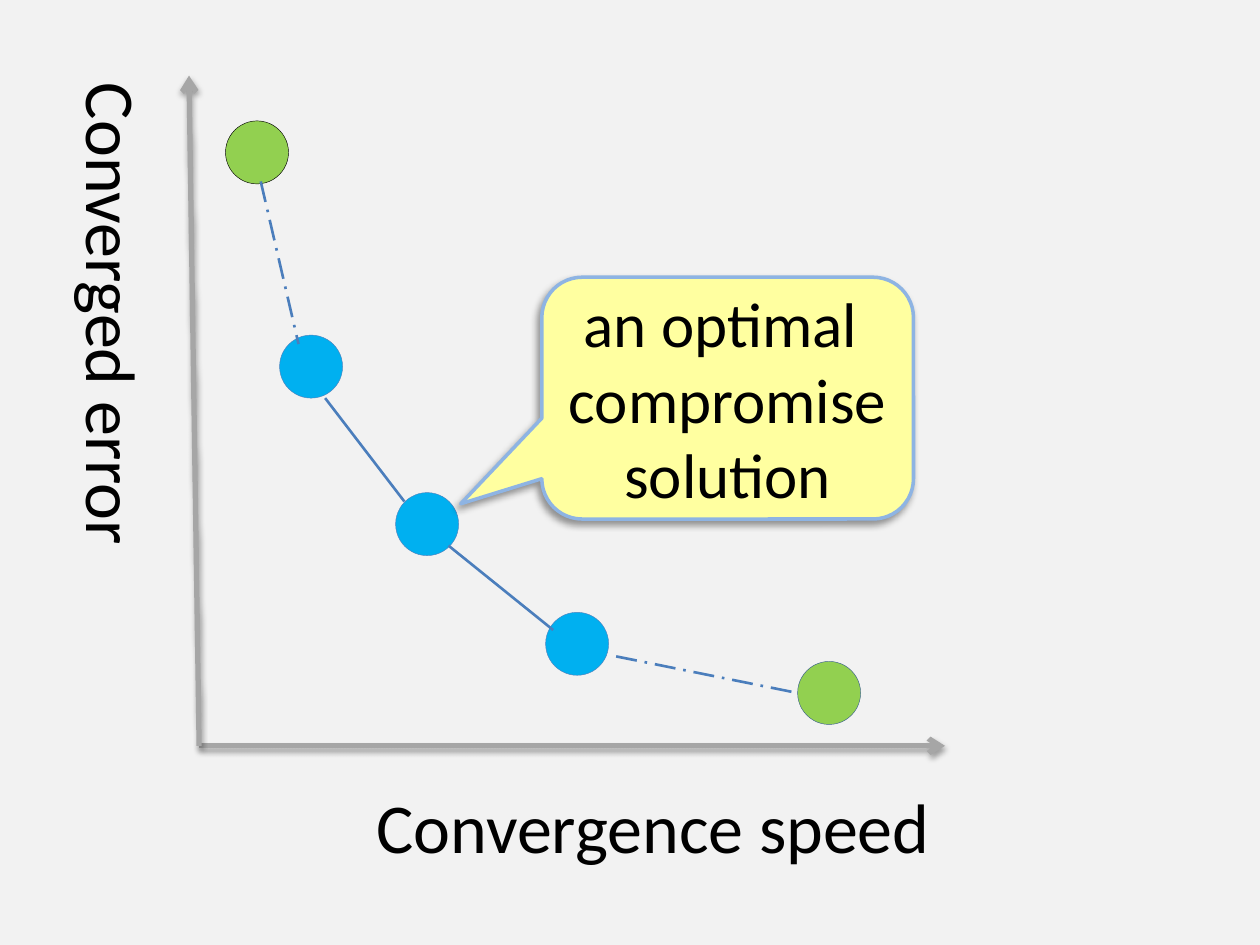
"""Build a slide plotting converged error against convergence speed."""
from lxml import etree
from pptx import Presentation
from pptx.dml.color import RGBColor
from pptx.enum import dml, shapes, text
from pptx.oxml import ns
from pptx.util import Pt

BACKGROUND = RGBColor(0xF2, 0xF2, 0xF2)
BLACK = RGBColor(0, 0, 0)
GREY = RGBColor(0xA6, 0xA6, 0xA6)
GREEN = RGBColor(0x92, 0xD0, 0x50)
DARK_BLUE = RGBColor(0x3A, 0x5F, 0x8C)
CYAN = RGBColor(0x00, 0xB0, 0xF0)
BLUE = RGBColor(0x4F, 0x81, 0xBD)
TREND_BLUE = RGBColor(0x4B, 0x7E, 0xBC)
YELLOW = RGBColor(0xFF, 0xFF, 0xA0)
PALE_BLUE = RGBColor(0x8E, 0xB4, 0xE3)


def write(frame, content, size, align=text.PP_ALIGN.LEFT, wrap=False):
    """Fill a text frame, one paragraph for each line of content."""
    frame.word_wrap = wrap
    frame.text = content
    for para in frame.paragraphs:
        para.alignment = align
        for span in para.runs:
            span.font.name = "Calibri"
            span.font.size = Pt(size)
            span.font.color.rgb = BLACK


def set_effects(shape, shadow=None):
    """Give a shape a black outer shadow, or no effect at all."""
    effects = etree.SubElement(shape._element.spPr, ns.qn("a:effectLst"))
    if shadow:
        opacity, blur, distance, angle = shadow
        outer = etree.SubElement(
            effects, ns.qn("a:outerShdw"), blurRad=str(Pt(blur)),
            dist=str(Pt(distance)), dir=str(angle * 60000), rotWithShape="0")
        color = etree.SubElement(outer, ns.qn("a:srgbClr"), val="000000")
        etree.SubElement(color, ns.qn("a:alpha"), val=str(opacity * 1000))


deck = Presentation()
deck.slide_width, deck.slide_height = Pt(720), Pt(540)
page = deck.slides.add_slide(deck.slide_layouts[6])
page.background.fill.solid()
page.background.fill.fore_color.rgb = BACKGROUND

DIAMETER = Pt(36)
for left, top, fill, outline in [
    (128.9, 69.1, GREEN, BLACK),
    (159.8, 191.5, CYAN, BLUE),
    (455.8, 378, GREEN, DARK_BLUE),
    (226.1, 281.5, CYAN, BLUE),
    (311.8, 349.9, CYAN, BLUE),
]:
    point = page.shapes.add_shape(
        shapes.MSO_SHAPE.FLOWCHART_CONNECTOR, Pt(left), Pt(top), DIAMETER, DIAMETER)
    point.fill.solid()
    point.fill.fore_color.rgb = fill
    point.line.color.rgb = outline
    point.line.width = Pt(0.25)
    point.shadow.inherit = False

callout = page.shapes.add_shape(
    shapes.MSO_SHAPE.ROUNDED_RECTANGULAR_CALLOUT,
    Pt(309.6), Pt(158.4), Pt(212.4), Pt(138.2))
for index, value in enumerate((-0.718, 0.437, 0.167)):
    callout.adjustments[index] = value
callout.fill.solid()
callout.fill.fore_color.rgb = YELLOW
callout.line.color.rgb = PALE_BLUE
callout.line.width = Pt(2)
set_effects(callout, shadow=(40, 4, 3, 135))
callout.text_frame.vertical_anchor = text.MSO_ANCHOR.MIDDLE
write(callout.text_frame, "an optimal \ncompromise solution", size=36,
      align=text.PP_ALIGN.CENTER, wrap=True)

for title, left, top, width, angle in [
    ("Convergence speed", 208.1, 444.2, 334.1, 0),
    ("Converged error", -75.6, 153.4, 281.5, 90),
]:
    box = page.shapes.add_textbox(Pt(left), Pt(top), Pt(width), Pt(55.4))
    box.rotation = angle
    write(box.text_frame, title, size=40)
    box.text_frame.auto_size = text.MSO_AUTO_SIZE.SHAPE_TO_FIT_TEXT

ORIGIN = (113.8, 426.2)
AXIS = (GREY, 3, None, (35, 3.1, 1.8, 90))
SOLID = (TREND_BLUE, 1.5, None, None)
DASHED = (TREND_BLUE, 1.5, dml.MSO_LINE.LONG_DASH_DOT, None)
for start, end, (color, width, dash, shadow) in [
    (ORIGIN, (540, 426.2), AXIS),
    (ORIGIN, (108, 43.2), AXIS),
    ((149, 103.7), (170.6, 196.6), DASHED),
    ((185.8, 227.5), (231.1, 286.6), SOLID),
    ((256.3, 311.8), (316.1, 360), SOLID),
    ((352.1, 375.1), (455.8, 396), DASHED),
]:
    line = page.shapes.add_connector(
        shapes.MSO_CONNECTOR.STRAIGHT, *(Pt(value) for value in start + end))
    line.line.color.rgb = color
    line.line.width = Pt(width)
    if dash:
        line.line.dash_style = dash
    if shadow:
        etree.SubElement(line.line._get_or_add_ln(), ns.qn("a:tailEnd"), type="arrow")
    set_effects(line, shadow)

deck.save("out.pptx")
